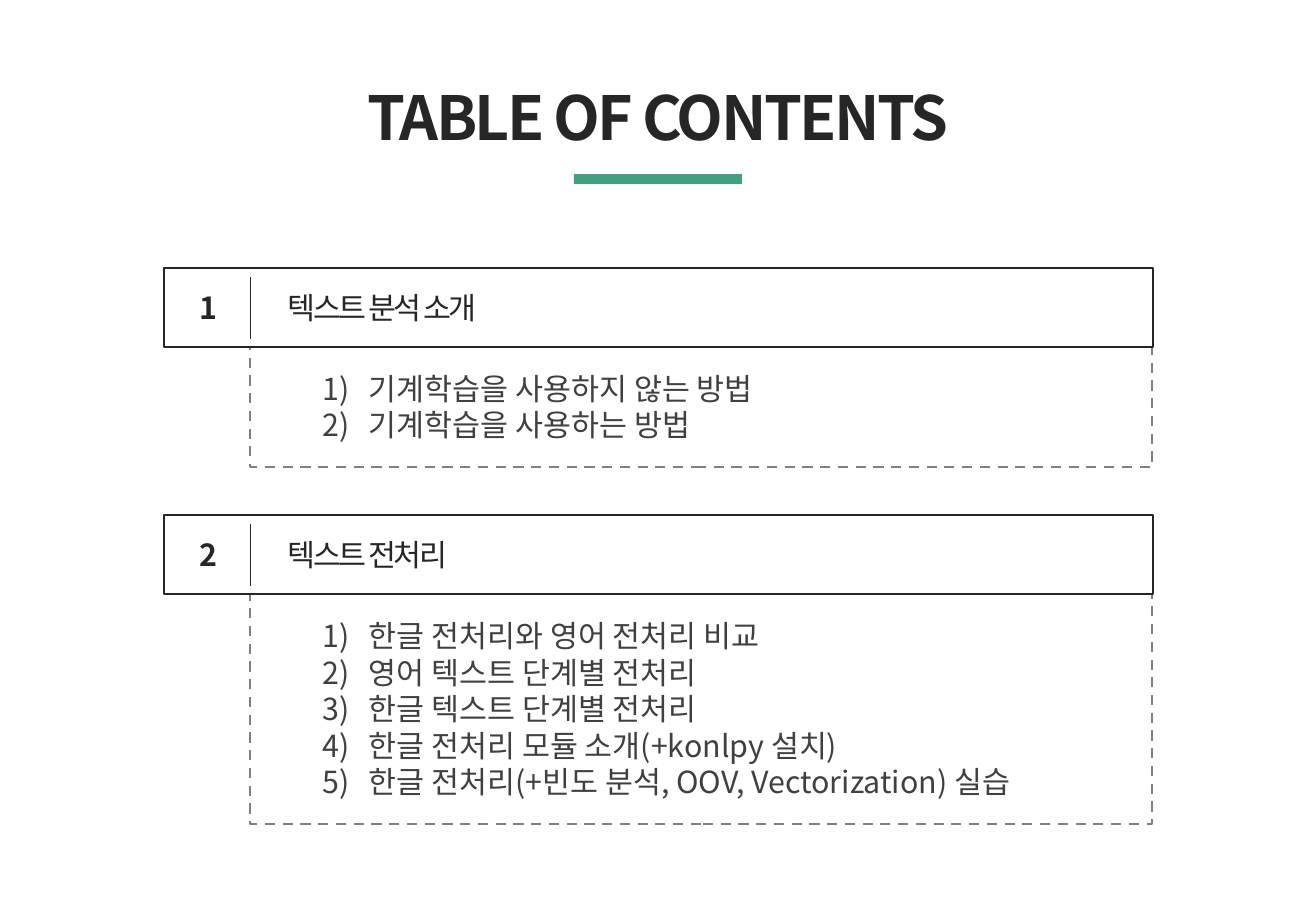
from lxml.etree import SubElement
from pptx import Presentation
from pptx.dml.color import RGBColor
from pptx.enum.dml import MSO_LINE
from pptx.enum.shapes import MSO_CONNECTOR, MSO_SHAPE
from pptx.enum.text import MSO_ANCHOR, MSO_AUTO_SIZE, PP_ALIGN
from pptx.oxml.ns import qn
from pptx.util import Emu, Pt

FONT = "Noto Sans CJK KR"
INK, BODY, DASH, GREEN, WHITE = "262626", "404040", "808080", "449E82", "FFFFFF"
HEADER_HEIGHT = 79
SECTIONS = [
    (268, 121, "1", 35, "텍스트 분석 소개", 227,
     ["기계학습을 사용하지 않는 방법", "기계학습을 사용하는 방법"]),
    (515, 231, "2", 41, "텍스트 전처리", 193,
     ["한글 전처리와 영어 전처리 비교",
      "영어 텍스트 단계별 전처리",
      "한글 텍스트 단계별 전처리",
      "한글 전처리 모듈 소개(+konlpy 설치)",
      "한글 전처리(+빈도 분석, OOV, Vectorization) 실습"]),
]


def px(length):
    """Turn pixels into EMU."""
    return Emu(round(length * 914400 / 121.5))


def color(hex_code):
    """Turn a hex string into a colour."""
    return RGBColor.from_string(hex_code)


def add_run(paragraph, text, size, ink, bold=False, spacing=None):
    """Add one styled run to a paragraph."""
    run = paragraph.add_run()
    run.text = text
    run.font.size = Pt(size)
    run.font.bold = bold
    run.font.color.rgb = color(ink)
    run.font.name = FONT
    properties = run.font._element
    SubElement(properties, qn("a:ea")).set("typeface", FONT)
    if spacing is not None:
        properties.set("spc", str(spacing))


def add_box(shapes, left, top, width, height, fill=None, line=None, weight=1):
    """Add a plain rectangle."""
    box = shapes.add_shape(MSO_SHAPE.RECTANGLE, px(left), px(top), px(width), px(height))
    box.shadow.inherit = False
    if fill:
        box.fill.solid()
        box.fill.fore_color.rgb = color(fill)
    else:
        box.fill.background()
    if line:
        box.line.color.rgb = color(line)
        box.line.width = Pt(weight)
    else:
        box.line.fill.background()
    return box


def add_label(shapes, left, top, width, height, text, size=18, bold=False,
              align=PP_ALIGN.LEFT):
    """Add a single-line tightly spaced label."""
    frame = shapes.add_textbox(px(left), px(top), px(width), px(height)).text_frame
    frame.word_wrap = False
    frame.auto_size = MSO_AUTO_SIZE.SHAPE_TO_FIT_TEXT
    frame.paragraphs[0].alignment = align
    add_run(frame.paragraphs[0], text, size, INK, bold, -150)


def add_topics(shapes, top, height, topics):
    """Add a dashed box holding a numbered list."""
    box = add_box(shapes, 250, top, 902, height, line=DASH, weight=1.5)
    box.line.dash_style = MSO_LINE.DASH
    frame = box.text_frame
    frame.word_wrap = True
    frame.vertical_anchor = MSO_ANCHOR.MIDDLE
    for index, topic in enumerate(topics):
        paragraph = frame.add_paragraph() if index else frame.paragraphs[0]
        paragraph.alignment = PP_ALIGN.LEFT
        paragraph.level = 1
        properties = paragraph._p.get_or_add_pPr()
        properties.set("marL", str(px(107)))
        properties.set("indent", str(px(-46)))
        SubElement(properties, qn("a:buFont")).set("typeface", FONT)
        SubElement(properties, qn("a:buAutoNum")).set("type", "arabicParenR")
        add_run(paragraph, topic, 18, BODY)


def add_header(slide, top, number, number_width, heading, heading_width):
    """Add a grouped section header with number, divider and heading."""
    shapes = slide.shapes.add_group_shape().shapes
    add_box(shapes, 164, top, 989, HEADER_HEIGHT, fill=WHITE, line=INK)
    divider = shapes.add_connector(
        MSO_CONNECTOR.STRAIGHT, px(250), px(top + 9), px(250), px(top + 71))
    divider.line.color.rgb = color(INK)
    divider.line.width = Pt(0.5)
    SubElement(divider._element.spPr, qn("a:effectLst"))
    add_label(shapes, 276, top + 15, heading_width, 49, heading)
    add_label(shapes, 188, top + 15, number_width, 49, number, bold=True)


def main():
    """Build the contents slide."""
    deck = Presentation()
    deck.slide_width, deck.slide_height = px(1316), px(911)
    slide = deck.slides.add_slide(deck.slide_layouts[6])
    add_label(slide.shapes, 333, 74, 650, 86, "TABLE OF CONTENTS", 36, True, PP_ALIGN.CENTER)
    add_box(slide.shapes, 574, 174, 168, 10, fill=GREEN)
    for top, height, number, number_width, heading, heading_width, topics in SECTIONS:
        add_topics(slide.shapes, top + HEADER_HEIGHT - 1, height, topics)
        add_header(slide, top, number, number_width, heading, heading_width)
    deck.save("out.pptx")


if __name__ == "__main__":
    main()
